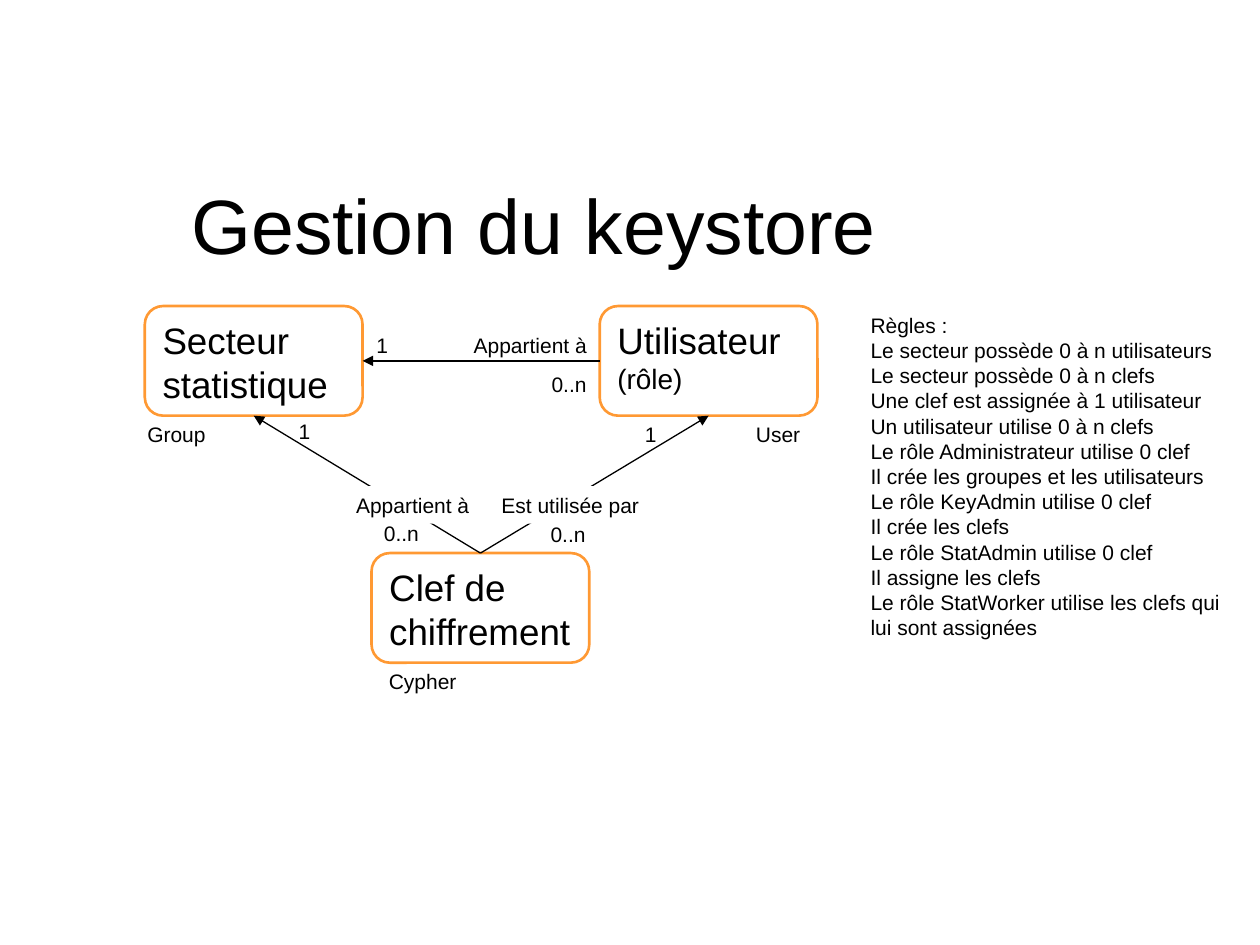
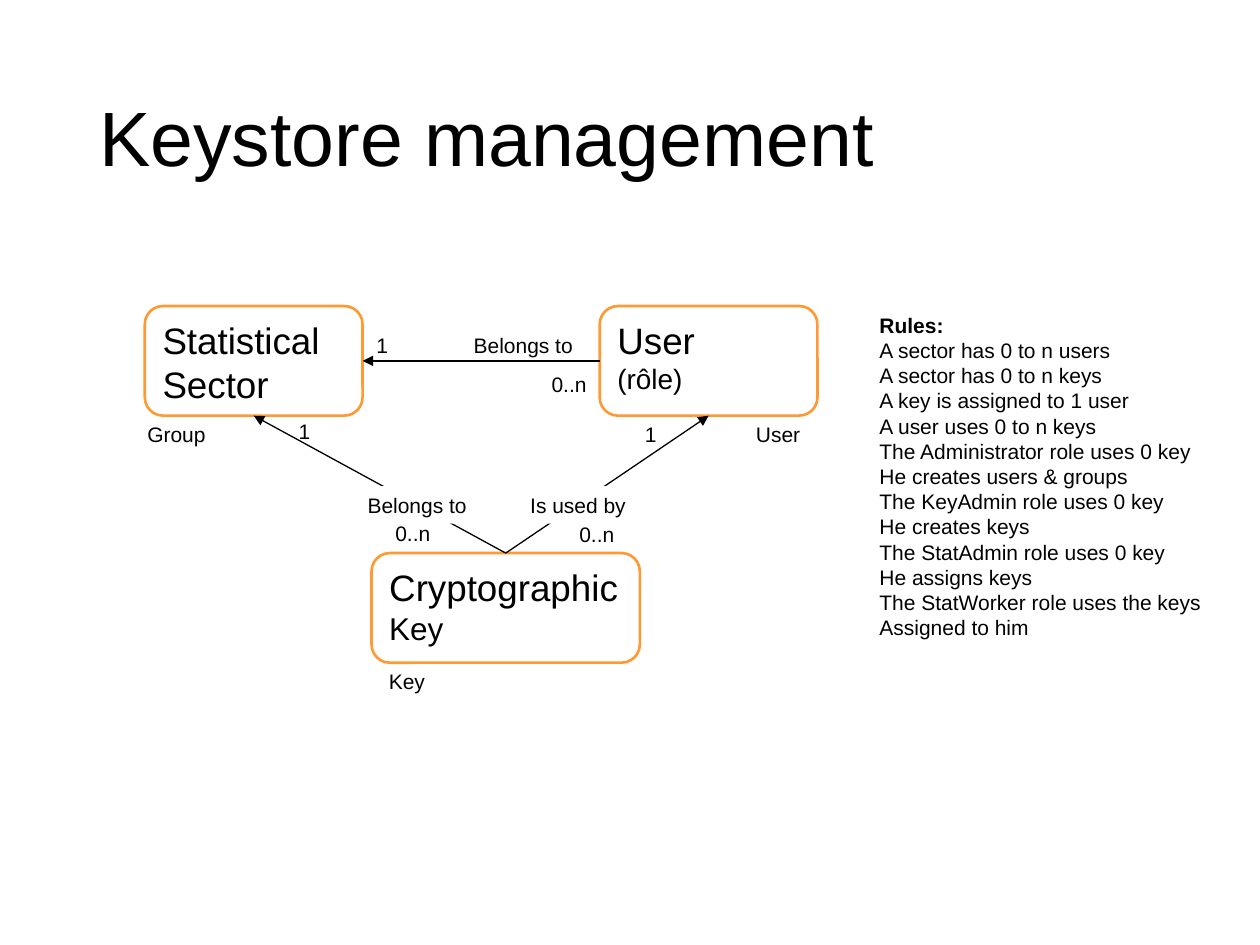
"""Build the keystore management slides in French and English."""

from dataclasses import dataclass

from lxml.etree import SubElement
from pptx import Presentation
from pptx.dml.color import RGBColor
from pptx.enum.shapes import MSO_CONNECTOR, MSO_SHAPE
from pptx.enum.text import MSO_ANCHOR, MSO_AUTO_SIZE, PP_ALIGN
from pptx.oxml.ns import qn
from pptx.shapes.autoshape import Shape
from pptx.slide import Slide
from pptx.text.text import TextFrame
from pptx.util import Cm, Pt

BLACK = RGBColor(0x00, 0x00, 0x00)
WHITE = RGBColor(0xFF, 0xFF, 0xFF)
ORANGE = RGBColor(0xFF, 0x99, 0x33)
FONT = "Arial"
TITLE_SIZE = 44
ENTITY_SIZE = 21
LABEL_SIZE = 12
ENTITY_WIDTH = 4.39
ENTITY_HEIGHT = 2.21
LABEL_HEIGHT = 0.76
UPPER_ROW = 6.17
LOWER_ROW = 11.15
TOP, LEFT, BOTTOM, RIGHT = range(4)


@dataclass(frozen=True)
class Area:
    """Position and size in centimetres."""

    left: float
    top: float
    width: float
    height: float


@dataclass(frozen=True)
class Entity:
    """Rounded box of the model, with one text size per line."""

    text: str
    left: float
    top: float
    width: float = ENTITY_WIDTH
    sizes: tuple[float, ...] = (ENTITY_SIZE,)


@dataclass(frozen=True)
class Label:
    """One-line caption, on white where it interrupts a relation."""

    text: str
    left: float
    top: float
    width: float
    covers_relation: bool = False


@dataclass(frozen=True)
class KeystorePage:
    """Everything that differs between the two languages."""

    title: str
    title_area: Area
    sector: Entity
    user: Entity
    key: Entity
    labels: tuple[Label, ...]
    rules: str
    rules_area: Area
    bold_heading: bool = False


SHARED_LABELS = (
    Label("Group", 2.72, 8.38, 1.70),
    Label("User", 14.99, 8.38, 1.42),
    Label("1", 7.34, 6.58, 0.74),
    Label("0..n", 10.87, 7.37, 1.22),
    Label("1", 5.77, 8.31, 0.74),
    Label("1", 12.75, 8.38, 0.74),
)

FRENCH = KeystorePage(
    title="Gestion du keystore",
    title_area=Area(3.61, 3.33, 20.73, 2.59),
    sector=Entity("Secteur statistique", 2.92, UPPER_ROW),
    user=Entity("Utilisateur\n(rôle)", 12.09, UPPER_ROW, sizes=(ENTITY_SIZE, 16)),
    key=Entity("Clef de chiffrement", 7.49, LOWER_ROW),
    labels=(
        Label("Cypher", 7.59, 13.36, 1.88),
        Label("Appartient à", 9.30, 6.58, 2.82),
        Label("Appartient à", 6.93, 9.80, 2.82, covers_relation=True),
        Label("0..n", 7.49, 10.36, 1.22),
        Label("Est utilisée par", 9.86, 9.80, 3.30, covers_relation=True),
        Label("0..n", 10.85, 10.39, 1.22),
    ),
    rules="""Règles :
Le secteur possède 0 à n utilisateurs
Le secteur possède 0 à n clefs
Une clef est assignée à 1 utilisateur
Un utilisateur utilise 0 à n clefs
Le rôle Administrateur utilise 0 clef
Il crée les groupes et les utilisateurs
Le rôle KeyAdmin utilise 0 clef
Il crée les clefs
Le rôle StatAdmin utilise 0 clef
Il assigne les clefs
Le rôle StatWorker utilise les clefs qui lui sont assignées""",
    rules_area=Area(17.30, UPPER_ROW, 7.57, 7.16),
)

ENGLISH = KeystorePage(
    title="Keystore management",
    title_area=Area(1.75, 1.02, 21.89, 3.68),
    sector=Entity("Statistical Sector", 2.92, UPPER_ROW),
    user=Entity("User\n(rôle)", 12.09, UPPER_ROW, sizes=(ENTITY_SIZE, 16)),
    key=Entity("Cryptographic\nKey", 7.49, LOWER_ROW, 5.41, (ENTITY_SIZE, 18)),
    labels=(
        Label("Key", 7.59, 13.36, 1.24),
        Label("Belongs to", 9.30, 6.58, 2.51),
        Label("Belongs to", 7.16, 9.80, 2.51, covers_relation=True),
        Label("0..n", 7.72, 10.36, 1.22),
        Label("Is used by", 10.44, 9.80, 2.46, covers_relation=True),
        Label("0..n", 11.43, 10.39, 1.22),
    ),
    rules="""Rules:
A sector has 0 to n users
A sector has 0 to n keys
A key is assigned to 1 user
A user uses 0 to n keys
The Administrator role uses 0 key
He creates users & groups
The KeyAdmin role uses 0 key
He creates keys
The StatAdmin role uses 0 key
He assigns keys
The StatWorker role uses the keys
Assigned to him""",
    rules_area=Area(17.48, UPPER_ROW, 7.44, 6.93),
    bold_heading=True,
)


def write_text(frame: TextFrame, text: str, sizes: tuple[float, ...]) -> None:
    """Fill a frame; the last size serves all remaining lines."""
    frame.text = text
    for row, paragraph in enumerate(frame.paragraphs):
        paragraph.alignment = PP_ALIGN.LEFT
        for run in paragraph.runs:
            run.font.name = FONT
            run.font.size = Pt(sizes[min(row, len(sizes) - 1)])
            run.font.color.rgb = BLACK


def add_text(slide: Slide, area: Area, text: str, size: float) -> Shape:
    """Add a wrapping text box."""
    box = slide.shapes.add_textbox(
        Cm(area.left), Cm(area.top), Cm(area.width), Cm(area.height)
    )
    box.text_frame.word_wrap = True
    write_text(box.text_frame, text, (size,))
    return box


def add_title(slide: Slide, page: KeystorePage) -> None:
    """Add the slide title."""
    frame = add_text(slide, page.title_area, page.title, TITLE_SIZE).text_frame
    frame.vertical_anchor = MSO_ANCHOR.MIDDLE
    frame.paragraphs[0].line_spacing = 0.9


def add_entity(slide: Slide, entity: Entity) -> Shape:
    """Add an orange outlined entity."""
    box = slide.shapes.add_shape(
        MSO_SHAPE.ROUNDED_RECTANGLE,
        Cm(entity.left), Cm(entity.top), Cm(entity.width), Cm(ENTITY_HEIGHT),
    )
    box.shadow.inherit = False
    box.fill.background()
    box.line.color.rgb = ORANGE
    box.line.width = Pt(1.5)
    box.text_frame.vertical_anchor = MSO_ANCHOR.TOP
    write_text(box.text_frame, entity.text, entity.sizes)
    return box


def add_relation(
    slide: Slide, source: Shape, source_side: int, target: Shape, target_side: int
) -> None:
    """Link two entities with an arrow towards the target."""
    relation = slide.shapes.add_connector(MSO_CONNECTOR.STRAIGHT, 0, 0, 0, 0)
    relation.begin_connect(source, source_side)
    relation.end_connect(target, target_side)
    relation.line.color.rgb = BLACK
    relation.line.width = Pt(0.75)
    SubElement(relation.line._get_or_add_ln(), qn("a:tailEnd"), type="triangle")
    SubElement(relation._element.spPr, qn("a:effectLst"))


def add_label(slide: Slide, label: Label) -> None:
    """Add a one-line caption."""
    area = Area(label.left, label.top, label.width, LABEL_HEIGHT)
    box = add_text(slide, area, label.text, LABEL_SIZE)
    box.text_frame.word_wrap = False
    box.text_frame.auto_size = MSO_AUTO_SIZE.SHAPE_TO_FIT_TEXT
    if label.covers_relation:
        box.fill.solid()
        box.fill.fore_color.rgb = WHITE


def add_rules(slide: Slide, page: KeystorePage) -> None:
    """Add the list of rules beside the model."""
    frame = add_text(slide, page.rules_area, page.rules, LABEL_SIZE).text_frame
    frame.auto_size = MSO_AUTO_SIZE.SHAPE_TO_FIT_TEXT
    frame.paragraphs[0].runs[0].font.bold = page.bold_heading


def add_page(presentation: Presentation, page: KeystorePage) -> None:
    """Add one slide with its model and rules."""
    slide = presentation.slides.add_slide(presentation.slide_layouts[6])
    add_title(slide, page)
    user, sector, key = (
        add_entity(slide, entity) for entity in (page.user, page.sector, page.key)
    )
    add_relation(slide, key, TOP, sector, BOTTOM)
    add_relation(slide, user, LEFT, sector, RIGHT)
    add_relation(slide, key, TOP, user, BOTTOM)
    for label in sorted(
        SHARED_LABELS + page.labels, key=lambda item: not item.covers_relation
    ):
        add_label(slide, label)
    add_rules(slide, page)


def main() -> None:
    """Build and save the presentation."""
    presentation = Presentation()
    presentation.slide_width = Cm(25.4)
    presentation.slide_height = Cm(19.05)
    for page in (FRENCH, ENGLISH):
        add_page(presentation, page)
    presentation.save("out.pptx")


if __name__ == "__main__":
    main()
